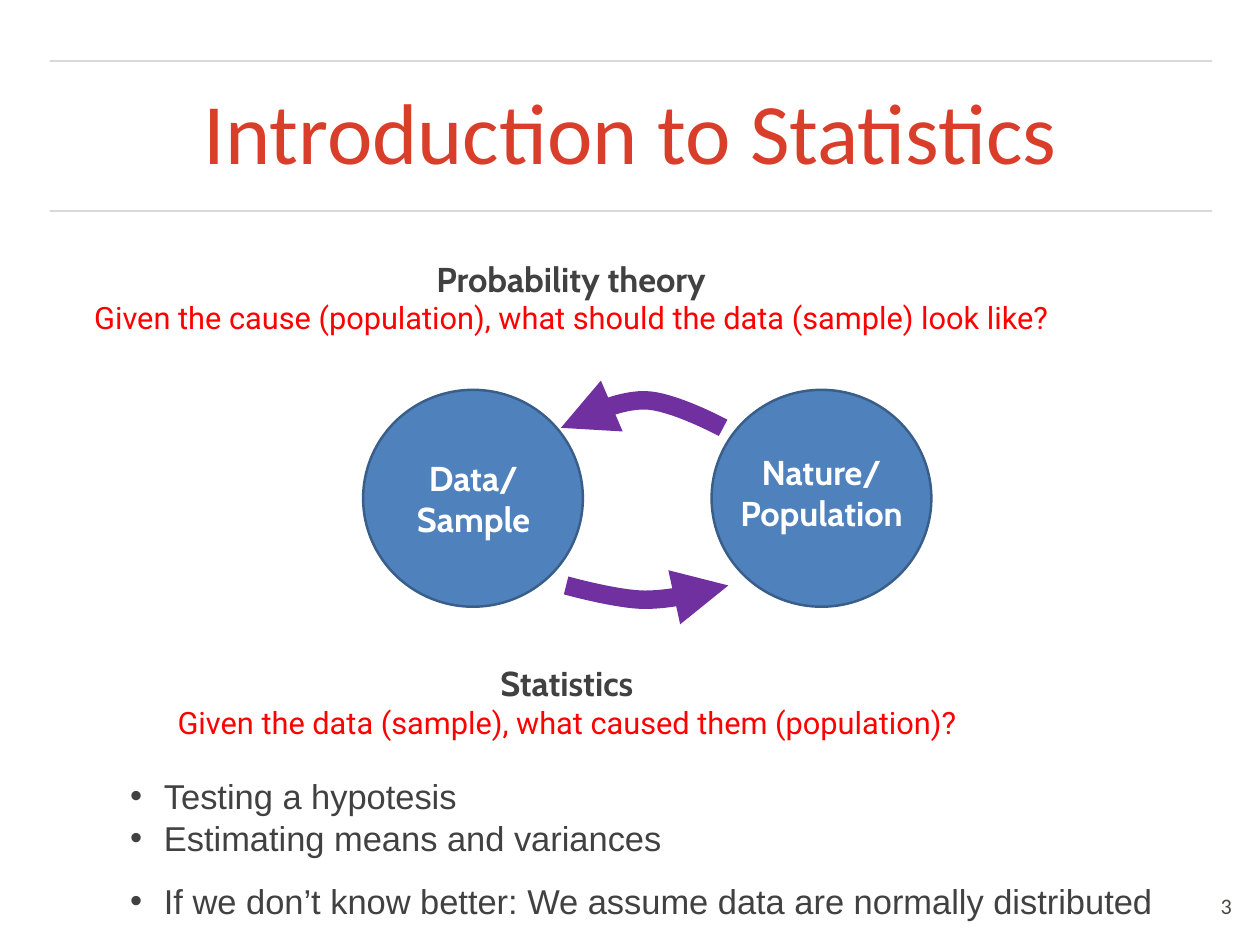
"""Build the slide that links probability theory and statistics."""
from dataclasses import dataclass

from lxml import etree
from pptx import Presentation
from pptx.dml.color import RGBColor
from pptx.enum.shapes import MSO_CONNECTOR, MSO_SHAPE
from pptx.enum.text import MSO_ANCHOR, MSO_AUTO_SIZE, PP_ALIGN
from pptx.oxml.ns import qn
from pptx.util import Cm, Pt

STRAIGHT, OVAL = MSO_CONNECTOR.STRAIGHT, MSO_SHAPE.OVAL
TOP, MIDDLE = MSO_ANCHOR.TOP, MSO_ANCHOR.MIDDLE
LEFT, CENTER = PP_ALIGN.LEFT, PP_ALIGN.CENTER
NO_FIT = MSO_AUTO_SIZE.NONE

COLORS = {
    "title": "D93E2B", "rule": "444444", "text": "414141", "query": "FF0000",
    "number": "4C4946", "disc": "4F81BD", "edge": "3A5E8A", "label": "FFFFFF",
    "arrow": "7030A0",
}
INSET = Cm(0.15)
STEPS = 16


@dataclass
class Box:
    """Place and size in centimetres."""
    left: float
    top: float
    width: float
    height: float


@dataclass
class Row:
    """A paragraph with its font."""
    words: str
    size: float
    face: str
    color: str
    bold: bool = False
    before: float = 0


@dataclass
class Disc:
    """A circle with the box and words of its label."""
    left: float
    label: Box
    words: tuple[str, ...]


@dataclass
class Theme:
    """A heading with the question below it."""
    box: Box
    name: str
    query: str


Point = tuple[float, float]

THEMES = [
    Theme(Box(4.95, 18.85, 22.6, 2.54), "Statistics",
          "Given the data (sample), what caused them (population)?"),
    Theme(Box(2.57, 7.24, 27.6, 2.54), "Probability theory",
          "Given the cause (population), what should the data (sample) look like?"),
]
POINTS = [
    ("Testing a hypotesis", 0),
    ("Estimating means and variances", 0),
    ("If we don’t know better: We assume data are normally distributed", 18),
]
DISCS = [
    Disc(10.41, Box(11.53, 12.95, 4.09, 2.67), ("Data/", "Sample")),
    Disc(20.4, Box(20.83, 12.78, 5.44, 2.67), ("Nature/", "Population")),
]
ARROWS = [
    [(16.08, 12.27), (16.89, 11.89), (17.7, 11.48), (18.47, 11.48),
     (19.26, 11.48), (20.73, 12.27), (20.73, 12.27)],
    [(20.88, 16.79), (20.07, 16.99), (19.25, 17.2), (18.49, 17.2),
     (17.7, 17.2), (16.23, 16.79), (16.23, 16.79)],
]


def paint(name: str) -> RGBColor:
    """Return a named colour."""
    return RGBColor.from_string(COLORS[name])


def write(shape, box: Box, rows: list[Row], *, align=CENTER, anchor=MIDDLE,
          wrap: bool = True, spacing: float = 1.0, bullet: str = "") -> None:
    """Place a shape and fill it with formatted paragraphs."""
    shape.left, shape.top = Cm(box.left), Cm(box.top)
    shape.width, shape.height = Cm(box.width), Cm(box.height)
    frame = shape.text_frame
    frame.auto_size, frame.word_wrap = NO_FIT, wrap
    frame.vertical_anchor = anchor
    frame.margin_left = frame.margin_right = INSET
    frame.margin_top = frame.margin_bottom = INSET
    for index, row in enumerate(rows):
        para = frame.add_paragraph() if index else frame.paragraphs[0]
        if bullet:
            props = para._p.get_or_add_pPr()
            props.set("marL", str(Cm(0.97)))
            props.set("indent", str(-Cm(0.97)))
            etree.SubElement(props, qn("a:buChar")).set("char", bullet)
        para.alignment, para.line_spacing = align, spacing
        para.space_before = Pt(row.before)
        run = para.add_run()
        run.text = row.words
        font = run.font
        font.name, font.size, font.bold = row.face, Pt(row.size), row.bold
        font.color.rgb = paint(row.color)


def add_text(shapes, box: Box, rows: list[Row], **style) -> None:
    """Add a text box."""
    write(shapes.add_textbox(0, 0, 0, 0), box, rows, **style)


def add_rule(shapes, top: float) -> None:
    """Add a faint line across the slide."""
    rule = shapes.add_connector(STRAIGHT, Cm(1.42), Cm(top), Cm(34.75), Cm(top))
    rule.line.width = Pt(1)
    rule.line.color.rgb = paint("rule")
    tint = rule.element.spPr.find(".//" + qn("a:srgbClr"))
    etree.SubElement(tint, qn("a:alpha")).set("val", "30000")
    etree.SubElement(rule.element.spPr, qn("a:effectLst"))


def add_disc(shapes, disc: Disc) -> None:
    """Add a circle and its label."""
    shape = shapes.add_shape(OVAL, Cm(disc.left), Cm(11.18), Cm(6.3), Cm(6.22))
    shape.shadow.inherit = False
    shape.fill.solid()
    shape.fill.fore_color.rgb = paint("disc")
    shape.line.color.rgb = paint("edge")
    shape.line.width = Pt(2)
    add_text(shapes, disc.label,
             [Row(words, 28, "Cabin", "label", True) for words in disc.words])


def trace(curve: list[Point]) -> list[Point]:
    """Return points along one cubic curve."""
    result = []
    for step in range(1, STEPS + 1):
        t = step / STEPS
        parts = ((1 - t) ** 3, 3 * t * (1 - t) ** 2, 3 * t * t * (1 - t), t ** 3)
        result.append((sum(p * x for p, (x, _) in zip(parts, curve)),
                       sum(p * y for p, (_, y) in zip(parts, curve))))
    return result


def add_arrow(shapes, knots: list[Point]) -> None:
    """Add a curved arrow whose head is at its first knot."""
    path = trace(knots[:4]) + trace(knots[3:])
    form = shapes.build_freeform(Cm(knots[0][0]), Cm(knots[0][1]))
    form.add_line_segments([(Cm(x), Cm(y)) for x, y in path], close=False)
    arrow = form.convert_to_shape()
    arrow.shadow.inherit = False
    arrow.fill.background()
    arrow.line.color.rgb = paint("arrow")
    arrow.line.width = Pt(15)
    line = arrow.element.spPr.find(qn("a:ln"))
    etree.SubElement(line, qn("a:headEnd")).set("type", "triangle")


def main() -> None:
    """Build and save the slide."""
    deck = Presentation()
    deck.slide_width, deck.slide_height = Cm(36.12), Cm(27.1)
    slide = deck.slides.add_slide(deck.slide_layouts[1])
    shapes = slide.shapes
    for top in (6.05, 1.75):
        add_rule(shapes, top)
    write(shapes.title, Box(1.42, 2.24, 33.3, 3.38),
          [Row("Introduction to Statistics", 70, "Calibri", "title")], spacing=0.9)
    for theme in THEMES:
        add_text(shapes, theme.box,
                 [Row(theme.name, 28, "Cabin", "text", True),
                  Row(theme.query, 25, "Roboto", "query")], wrap=False)
    write(slide.placeholders[1], Box(3.58, 22.07, 29.95, 4.52),
          [Row(words, 28, "Arial", "text", before=gap) for words, gap in POINTS],
          align=LEFT, bullet="•")
    add_text(shapes, Box(34.67, 25.45, 0.97, 1.12),
             [Row("3", 18, "Calibri", "number")], anchor=TOP, wrap=False)
    for disc in DISCS:
        add_disc(shapes, disc)
    for knots in ARROWS:
        add_arrow(shapes, knots)
    deck.save("out.pptx")


if __name__ == "__main__":
    main()
